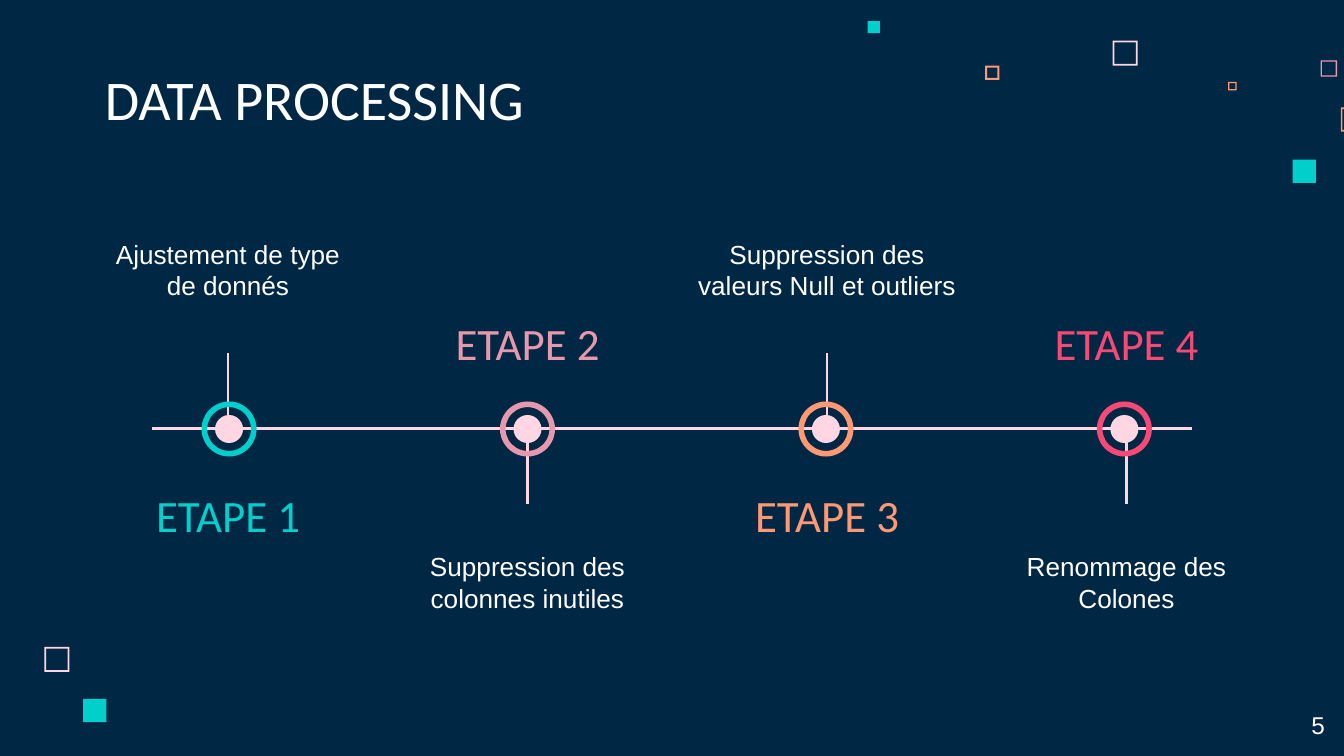
from dataclasses import dataclass

from lxml.etree import SubElement
from pptx import Presentation
from pptx.dml.color import RGBColor
from pptx.enum.shapes import MSO_CONNECTOR as CONN, MSO_SHAPE as SHAPE
from pptx.enum.text import MSO_ANCHOR as ANCHOR, MSO_AUTO_SIZE as AUTO, PP_ALIGN as ALIGN
from pptx.oxml.ns import qn
from pptx.util import Cm, Pt


@dataclass(frozen=True)
class Theme:
    navy: str = "002845"
    white: str = "FFFFFF"
    blush: str = "FFD6E1"
    teal: str = "00CFCC"
    rose: str = "E898AC"
    orange: str = "FF9973"
    red: str = "F64975"
    head_font: str = "Calibri"
    body_font: str = "Arial"
    title_size: float = 30
    step_size: float = 24
    caption_size: float = 14
    number_size: float = 13
    line_width: float = 1.5


T = Theme()

# Content
TITLE = "DATA PROCESSING"
PAGE_NUMBER = "5"
STEPS = [  # label, caption, colour, caption width
    ("ETAPE 1", "Ajustement de type de donnés", T.teal, 5.23),
    ("ETAPE 2", "Suppression des colonnes inutiles", T.rose, 5.87),
    ("ETAPE 3", "Suppression des valeurs Null et outliers", T.orange, 5.87),
    ("ETAPE 4", "Renommage des Colones", T.red, 5.23),
]
SQUARES = [  # left, top, side, colour, border as a share of the side (0 = solid)
    (21.03, 0.77, 0.47, T.blush, 0.07),
    (24.96, 1.14, 0.31, T.rose, 0.08),
    (23.21, 1.55, 0.16, T.orange, 0.15),
    (25.34, 2.03, 0.46, T.orange, 0.07),
    (24.43, 3.02, 0.44, T.teal, 0),
    (18.62, 1.24, 0.27, T.orange, 0.14),
    (16.4, 0.4, 0.23, T.teal, 0),
    (0.84, 12.23, 0.47, T.blush, 0.07),
    (1.57, 13.21, 0.44, T.teal, 0),
]

# Timeline geometry in cm
AXIS_LEFT, AXIS_RIGHT, AXIS_Y = 2.87, 22.53, 8.1
FIRST_X, STEP_PITCH, RING_PITCH = 4.31, 5.66, 5.64
RING, DOT, RING_WIDTH = 1.04, 0.53, 0.102
STEM_START, STEM_END = 0.16, 1.42
LABEL_W, LABEL_H, LABEL_OFFSET = 3.58, 1.2, 1.63
CAPTION_H, CAPTION_ABOVE, CAPTION_BELOW = 1.8, 4.14, 10.16
INSET = 0.25


def add_line(shapes, x1, y1, x2, y2):
    line = shapes.add_connector(CONN.STRAIGHT, Cm(x1), Cm(y1), Cm(x2), Cm(y2))
    line.line.color.rgb = RGBColor.from_string(T.blush)
    line.line.width = Pt(T.line_width)
    SubElement(line._element.spPr, qn("a:effectLst"))


def add_filled(shapes, kind, left, top, side, color, adjust=0):
    sp = shapes.add_shape(kind, Cm(left), Cm(top), Cm(side), Cm(side))
    if adjust:
        sp.adjustments[0] = adjust
    sp.fill.solid()
    sp.fill.fore_color.rgb = RGBColor.from_string(color)
    sp.line.fill.background()
    sp.shadow.inherit = False


def write(sp, text, font, size, color, align=ALIGN.CENTER, anchor=ANCHOR.TOP):
    tf = sp.text_frame
    frame = {"word_wrap": True, "auto_size": AUTO.NONE, "vertical_anchor": anchor}
    frame.update({f"margin_{side}": Cm(INSET) for side in ("left", "top", "right", "bottom")})
    for name, value in frame.items():
        setattr(tf, name, value)
    p = tf.paragraphs[0]
    p.alignment = align
    r = p.add_run()
    r.text = text
    for name, value in {"name": font, "size": Pt(size)}.items():
        setattr(r.font, name, value)
    r.font.color.rgb = RGBColor.from_string(color)


def add_text(shapes, box, *args, **kwargs):
    write(shapes.add_textbox(*map(Cm, box)), *args, **kwargs)


def add_step(shapes, i, label, caption, color, caption_w):
    """Caption and stem lie above the axis for even steps, below for odd ones."""
    above = i % 2 == 0
    side = -1 if above else 1
    x = FIRST_X + i * STEP_PITCH
    add_line(shapes, x, AXIS_Y + side * STEM_START, x, AXIS_Y + side * STEM_END)

    ring_x = FIRST_X + 0.02 + i * RING_PITCH
    marker = shapes.add_group_shape().shapes
    for kind, size, fill, adjust in ((SHAPE.OVAL, DOT, T.blush, 0),
                                     (SHAPE.DONUT, RING, color, RING_WIDTH)):
        add_filled(marker, kind, ring_x - size / 2, AXIS_Y + 0.01 - size / 2, size, fill, adjust)

    label_top = AXIS_Y - side * LABEL_OFFSET - LABEL_H / 2
    add_text(shapes, (x - LABEL_W / 2, label_top, LABEL_W, LABEL_H),
             label, T.head_font, T.step_size, color, anchor=ANCHOR.MIDDLE)
    caption_top = CAPTION_ABOVE if above else CAPTION_BELOW
    add_text(shapes, (x - caption_w / 2, caption_top, caption_w, CAPTION_H),
             caption, T.body_font, T.caption_size, T.white,
             anchor=ANCHOR.BOTTOM if above else ANCHOR.TOP)


def main():
    prs = Presentation()
    prs.slide_width, prs.slide_height = Cm(25.4), Cm(14.29)
    slide = prs.slides.add_slide(prs.slide_layouts[5])
    slide.background.fill.solid()
    slide.background.fill.fore_color.rgb = RGBColor.from_string(T.navy)
    shapes = slide.shapes

    title = shapes.title
    title.left, title.top, title.width, title.height = map(Cm, (1.73, 1.14, 13.13, 1.6))
    write(title, TITLE, T.head_font, T.title_size, T.white, ALIGN.LEFT, ANCHOR.BOTTOM)

    for left, top, side, color, border in SQUARES:
        kind = SHAPE.FRAME if border else SHAPE.RECTANGLE
        add_filled(shapes, kind, left, top, side, color, border)

    add_line(shapes, AXIS_LEFT, AXIS_Y, AXIS_RIGHT, AXIS_Y)
    for i, step in enumerate(STEPS):
        add_step(shapes, i, *step)

    add_text(shapes, (23.77, 13.18, 1.52, 1.09), PAGE_NUMBER,
             T.body_font, T.number_size, T.white, ALIGN.RIGHT)
    prs.save("out.pptx")


if __name__ == "__main__":
    main()
